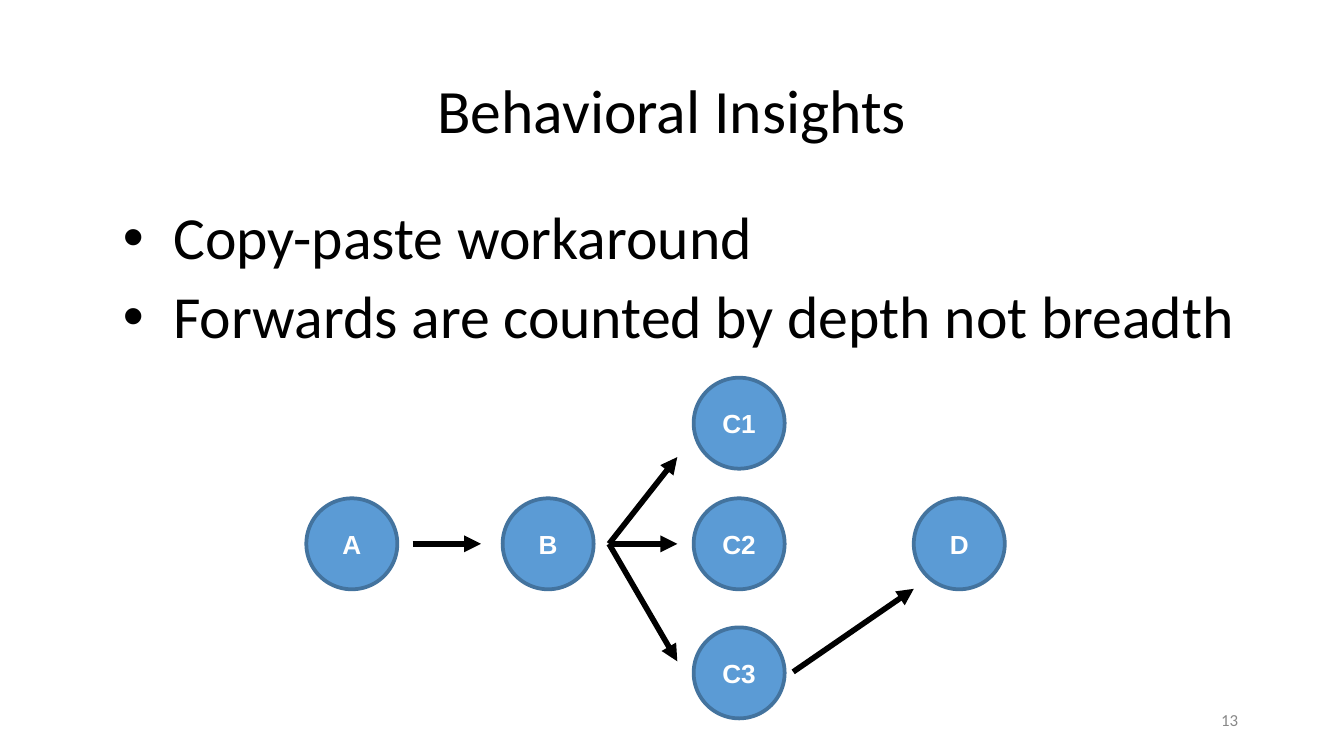
from lxml import etree
from pptx import Presentation
from pptx import util as u
from pptx.dml.color import RGBColor
from pptx.enum import shapes, text
from pptx.oxml import ns


def colour(target, value):
    """Give a fill or a font a solid colour."""
    if hasattr(target, "solid"):
        target.solid()
        target.fore_color.rgb = RGBColor.from_string(value)
    else:
        target.color.rgb = RGBColor.from_string(value)


def write(para, content, size=32, font="Calibri", value="000000", bold=False,
          align=None, spacing=None):
    span = para.add_run()
    span.text = content
    span.font.size = u.Pt(size)
    span.font.name = font
    span.font.bold = bold
    colour(span.font, value)
    para.alignment = align
    para.line_spacing = spacing


deck = Presentation()
deck.slide_width, deck.slide_height = u.Cm(25.4), u.Cm(14.29)
page = deck.slides.add_slide(deck.slide_layouts[1])
title, body = page.placeholders

# Title and list
title.left, title.top, title.width, title.height = u.Cm(1.75), u.Cm(0.76), u.Cm(21.9), u.Cm(2.77)
title.text_frame.vertical_anchor = text.MSO_ANCHOR.MIDDLE
title.text_frame.auto_size = text.MSO_AUTO_SIZE.NONE
write(title.text_frame.paragraphs[0], "Behavioral Insights", size=33,
      align=text.PP_ALIGN.CENTER, spacing=0.9)

body.left, body.top, body.width, body.height = u.Cm(1.75), u.Cm(3.81), u.Cm(21.9), u.Cm(9.07)
body.text_frame.auto_size = text.MSO_AUTO_SIZE.NONE
insights = ["Copy-paste workaround", "Forwards are counted by depth not breadth"]
for index, insight in enumerate(insights):
    para = body.text_frame.add_paragraph() if index else body.text_frame.paragraphs[0]
    props = para._p.get_or_add_pPr()
    props.set("marL", str(u.Cm(1.27)))
    props.set("indent", str(u.Cm(-0.95)))
    etree.SubElement(props, ns.qn("a:buFont"), typeface="Arial")
    etree.SubElement(props, ns.qn("a:buChar"), char="•")
    write(para, insight, spacing=0.9)
    para.space_before = u.Pt(7.5 if index else 0)

# Page number
number = page.shapes.add_textbox(u.Cm(17.93), u.Cm(13.23), u.Cm(5.72), u.Cm(0.76))
number.text_frame.word_wrap = True
number.text_frame.vertical_anchor = text.MSO_ANCHOR.MIDDLE
write(number.text_frame.paragraphs[0], "13", size=9, value="888888",
      align=text.PP_ALIGN.RIGHT)

# Forwarding tree: label, left, top
diameter, middle = 1.72, 9.42
nodes = [("A", 5.79, middle), ("B", 9.5, middle), ("C1", 13.11, 7.14),
         ("C2", 13.11, middle), ("C3", 13.11, 11.86), ("D", 17.27, middle)]
for label, left, top in nodes:
    node = page.shapes.add_shape(shapes.MSO_SHAPE.OVAL, u.Cm(left), u.Cm(top),
                                 u.Cm(diameter), u.Cm(diameter))
    node.shadow.inherit = False
    colour(node.fill, "5B9BD5")
    colour(node.line.fill, "43739E")
    node.line.width = u.Pt(2)
    frame = node.text_frame
    frame.margin_left = frame.margin_right = 0
    frame.vertical_anchor = text.MSO_ANCHOR.MIDDLE
    write(frame.paragraphs[0], label, size=14, font="Arial", value="FFFFFF",
          bold=True, align=text.PP_ALIGN.CENTER)

# Arrows: start x, start y, end x, end y
axis = middle + diameter / 2
arrows = [(7.8, axis, 9.09, axis), (11.51, axis, 12.8, axis),
          (11.51, axis, 12.8, 8.64), (11.51, axis, 12.8, 12.5),
          (14.99, 12.7, 17.27, 11.13)]
for ends in arrows:
    arrow = page.shapes.add_connector(shapes.MSO_CONNECTOR.STRAIGHT, *map(u.Cm, ends))
    colour(arrow.line.fill, "000000")
    arrow.line.width = u.Pt(3)
    etree.SubElement(arrow.line._get_or_add_ln(), ns.qn("a:tailEnd"), type="triangle")
    etree.SubElement(arrow._element.spPr, ns.qn("a:effectLst"))

deck.save("out.pptx")
